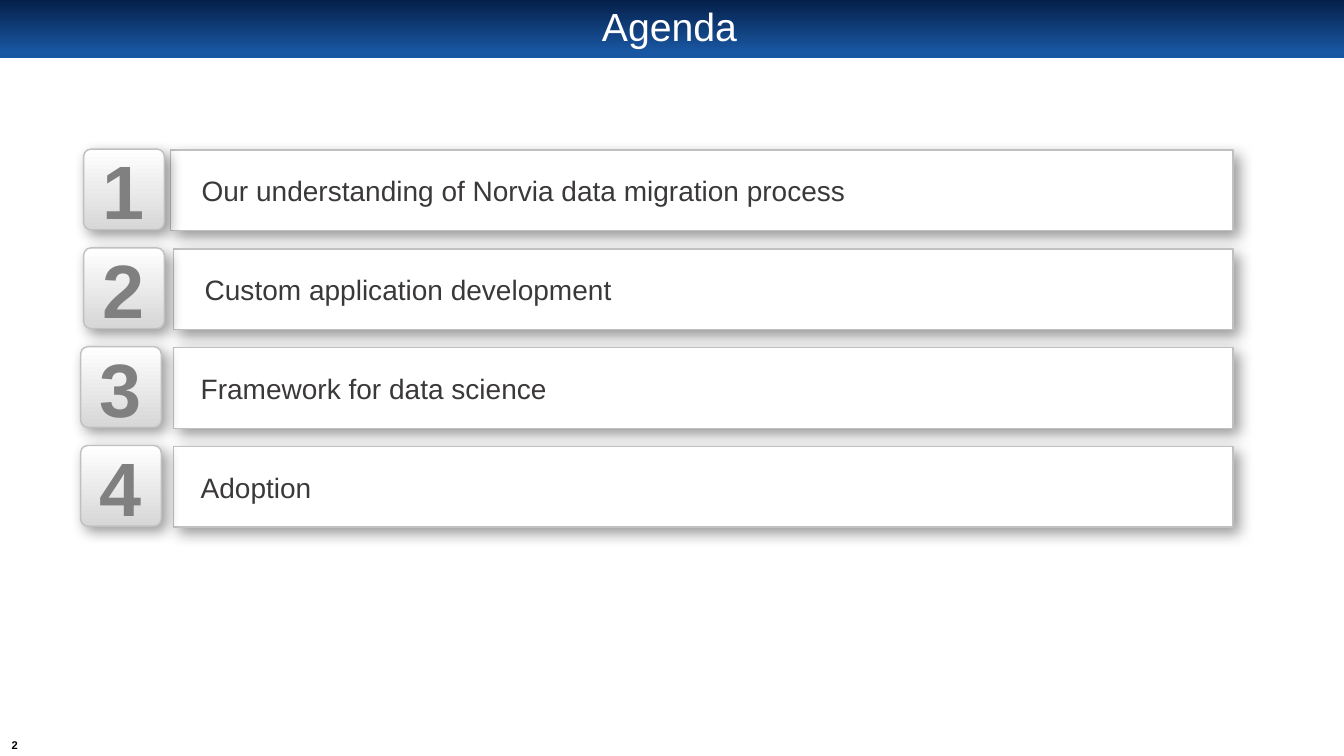
from pptx import Presentation
from pptx.dml.color import RGBColor
from pptx.enum.shapes import MSO_SHAPE
from pptx.enum.text import MSO_ANCHOR, PP_ALIGN
from pptx.oxml import parse_xml
from pptx.oxml.ns import nsdecls
from pptx.util import Inches, Pt

RECT, ROUND = MSO_SHAPE.RECTANGLE, MSO_SHAPE.ROUNDED_RECTANGLE
MIDDLE = MSO_ANCHOR.MIDDLE
LEFT, CENTER = PP_ALIGN.LEFT, PP_ALIGN.CENTER

WHITE = RGBColor(0xFF, 0xFF, 0xFF)
BLACK = RGBColor(0, 0, 0)
NAVY = RGBColor(0x05, 0x20, 0x49)
BLUE = RGBColor(0x19, 0x57, 0xA3)
PALE = RGBColor(0xD7, 0xD7, 0xD7)
SILVER = RGBColor(0xC0, 0xC0, 0xC0)
GRAY = RGBColor(0x80, 0x80, 0x80)
INK = RGBColor(0x3B, 0x38, 0x38)

SHADOW = (
    f'<a:effectLst {nsdecls("a")}><a:outerShdw blurRad="127000" dist="63500" '
    'dir="2700000" algn="tl" rotWithShape="0"><a:srgbClr val="000000">'
    '<a:alpha val="40000"/></a:srgbClr></a:outerShdw></a:effectLst>'
)

TOP, STEP, SIDE, RIGHT = 1.48, 0.98, 0.8, 12.23
ROWS = [
    ("Our understanding of Norvia data migration process", 0.83, 1.69, 0.31),
    ("Custom application development", 0.83, 1.72, 0.31),
    ("Framework for data science", 0.8, 1.72, 0.27),
    ("Adoption", 0.8, 1.72, 0.27),
]


class Deck:
    """Holds the text style and the current slide, and draws its elements."""

    font = "Arial"

    def __init__(self, slide):
        self.slide = slide
        self.shapes = slide.shapes

    def label(self, shape, text, size, color, align, bold=False, pads=(0, 0, 0, 0), wrap=True):
        frame = shape.text_frame
        frame.word_wrap = wrap
        frame.vertical_anchor = MIDDLE
        (frame.margin_left, frame.margin_top,
         frame.margin_right, frame.margin_bottom) = map(Inches, pads)
        para = frame.paragraphs[0]
        para.alignment = align
        run = para.add_run()
        run.text = text
        font = run.font
        font.name, font.size, font.bold = self.font, Pt(size), bold
        font.color.rgb = color
        return para

    def shade(self, shape, angle, stops):
        fill = shape.fill
        fill.gradient()
        fill.gradient_angle = angle
        for stop, (spot, color) in zip(fill.gradient_stops, stops):
            stop.position = spot
            stop.color.rgb = color

    def band(self):
        band = self.shapes.add_shape(RECT, 0, 0, Inches(13.33), Inches(0.58))
        band.shadow.inherit = False
        band.line.fill.background()
        self.shade(band, 270, [(0, NAVY), (0.9, BLUE)])

    def title(self, text):
        title = self.shapes.title
        title.left, title.top = Inches(0.66), Inches(0.06)
        title.width, title.height = Inches(11.96), Inches(0.45)
        title.element.getparent().append(title.element)
        para = self.label(title, text, 28, WHITE, CENTER, pads=(0.1, 0.05, 0.1, 0.05))
        para.line_spacing = 0.9

    def card(self, kind, left, top, width):
        card = self.shapes.add_shape(kind, Inches(left), Inches(top), Inches(width), Inches(SIDE))
        card.line.color.rgb = SILVER
        card.line.width = Pt(1)
        card.fill.solid()
        card.fill.fore_color.rgb = WHITE
        card.element.spPr.append(parse_xml(SHADOW))
        return card

    def bar(self, text, left, top, inset):
        bar = self.card(RECT, left, top, RIGHT - left)
        self.label(bar, text, 20, INK, LEFT, pads=(inset, 0.04, 0.24, 0.04))

    def badge(self, text, left, top):
        badge = self.card(ROUND, left, top, SIDE)
        badge.adjustments[0] = 0.09
        self.shade(badge, 90, [(0, PALE), (1, WHITE)])
        self.label(badge, text, 54, GRAY, CENTER, bold=True)

    def number(self, text):
        box = self.shapes.add_textbox(Inches(0.02), Inches(7.3), Inches(0.25), Inches(0.19))
        self.label(box, text, 8, BLACK, CENTER, bold=True, wrap=False)


def main():
    prs = Presentation()
    prs.slide_width, prs.slide_height = Inches(13.33), Inches(7.5)
    deck = Deck(prs.slides.add_slide(prs.slide_layouts[5]))
    deck.band()
    deck.number("2")
    deck.title("Agenda")
    for i, (text, left, start, inset) in enumerate(ROWS):
        top = TOP + i * STEP
        deck.bar(text, start, top + 0.01, inset)
        deck.badge(str(i + 1), left, top)
    prs.save("out.pptx")


if __name__ == "__main__":
    main()
